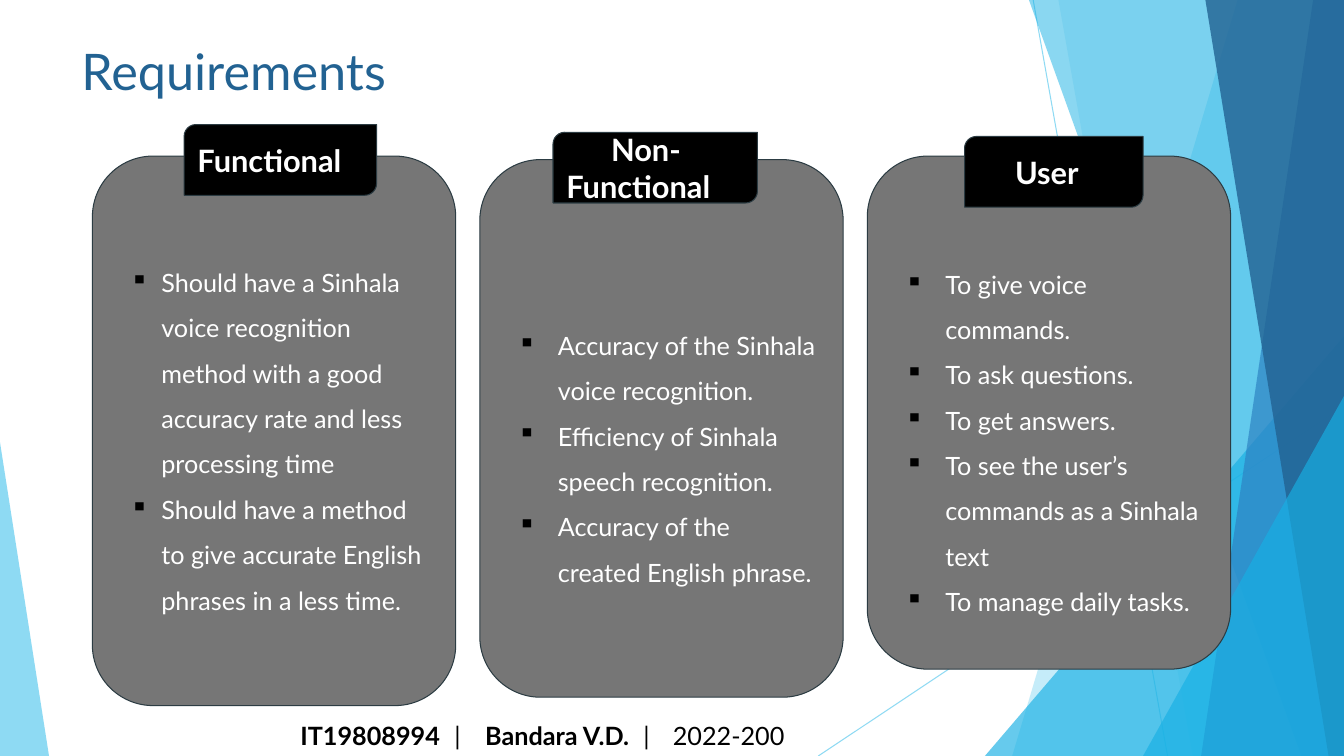
from lxml import etree
from pptx import Presentation
from pptx import util as u
from pptx.dml.color import RGBColor
from pptx.enum import shapes, text
from pptx.oxml.ns import qn

W, H = 960, 540
SKY, CYAN, BLUE, NAVY = "5FCBEF", "17B0E4", "2E83C3", "226292"
GRAY, EDGE, BLACK, WHITE = "767676", "2C3C43", "000000", "FFFFFF"
PRESET = shapes.MSO_SHAPE
ANCHOR = text.MSO_ANCHOR


def rgb(value):
    return RGBColor.from_string(value)


class Deck:
    font = "Lato"
    inset = 7.2

    def __init__(self, prs):
        self.s = prs.slides.add_slide(prs.slide_layouts[6])

    def paint(self, fill, color, alpha=100):
        """Solid fill with the given opacity in percent."""
        fill.solid()
        fill.fore_color.rgb = rgb(color)
        if alpha < 100:
            for clr in fill._xPr.iter(qn("a:srgbClr")):
                etree.SubElement(clr, qn("a:alpha")).set("val", str(alpha * 1000))

    def finish(self, sp, color, alpha=100, edge=None):
        sp.shadow.inherit = False
        self.paint(sp.fill, color, alpha)
        if edge:
            sp.line.color.rgb = rgb(edge)
            sp.line.width = u.Pt(0.75)
        else:
            sp.line.fill.background()
        return sp

    def line(self, x1, y1, x2, y2, color, alpha):
        cx = self.s.shapes.add_connector(
            shapes.MSO_CONNECTOR.STRAIGHT, u.Pt(x1), u.Pt(y1), u.Pt(x2), u.Pt(y2))
        cx.line.width = u.Pt(0.75)
        self.paint(cx.line.fill, color, alpha)
        etree.SubElement(cx._element.spPr, qn("a:effectLst"))

    def polygon(self, points, color, alpha):
        start, *rest = [(u.Pt(x), u.Pt(y)) for x, y in points]
        fb = self.s.shapes.build_freeform(*start, scale=1.0)
        fb.add_line_segments(rest, close=True)
        self.finish(fb.convert_to_shape(), color, alpha)

    def shape(self, kind, box, adjust, color, alpha=100, edge=None):
        sp = self.s.shapes.add_shape(kind, *[u.Pt(v) for v in box])
        for i, value in enumerate(adjust):
            sp.adjustments[i] = value
        return self.finish(sp, color, alpha, edge)

    def frame(self, sp, anchor, top=0, sides=3.6):
        """Set wrapping, anchor and margins; top is extra space above the text."""
        tf = sp.text_frame
        tf.word_wrap = True
        tf.vertical_anchor = anchor
        tf.margin_left = tf.margin_right = u.Pt(self.inset)
        tf.margin_top, tf.margin_bottom = u.Pt(sides + top), u.Pt(sides)
        return tf

    def run(self, p, words, size, color, bold=False):
        r = p.add_run()
        r.text = words
        r.font.name = self.font
        r.font.size = u.Pt(size)
        r.font.bold = bold
        r.font.color.rgb = rgb(color)

    def indent(self, p, left, first):
        p.alignment = text.PP_ALIGN.LEFT
        pPr = p._p.get_or_add_pPr()
        pPr.set("marL", str(u.Pt(left)))
        pPr.set("indent", str(u.Pt(first)))
        return pPr

    def textbox(self, box, anchor, runs, size, color, tabs=()):
        sp = self.s.shapes.add_textbox(*[u.Pt(v) for v in box])
        p = self.frame(sp, anchor).paragraphs[0]
        if tabs:
            tab_list = etree.SubElement(p._p.get_or_add_pPr(), qn("a:tabLst"))
            for pos in tabs:
                etree.SubElement(tab_list, qn("a:tab"), pos=str(u.Pt(pos)), algn="l")
        for words, bold in runs:
            self.run(p, words, size, color, bold)

    def card(self, box, items, left, hang, top):
        sp = self.shape(PRESET.ROUNDED_RECTANGLE, box, [0.167], GRAY, edge=EDGE)
        tf = self.frame(sp, ANCHOR.MIDDLE, top, self.inset)
        for i, item in enumerate(items):
            p = tf.add_paragraph() if i else tf.paragraphs[0]
            p.line_spacing = 1.5
            pPr = self.indent(p, left, -hang)
            clr = etree.SubElement(pPr, qn("a:buClr"))
            etree.SubElement(clr, qn("a:srgbClr"), val=BLACK)
            etree.SubElement(pPr, qn("a:buChar"), char="▪")
            self.run(p, item, 18, WHITE)

    def label(self, box, words, first):
        sp = self.shape(PRESET.ROUND_2_DIAG_RECTANGLE, box, [0.167, 0], BLACK, edge=EDGE)
        p = self.frame(sp, ANCHOR.MIDDLE, sides=self.inset).paragraphs[0]
        self.indent(p, 0, first)
        self.run(p, words, 22, WHITE, True)


def facets(deck):
    """Translucent shards along both slide edges."""
    deck.line(738, 0, 834, H, SKY, 70)
    deck.line(W, 290, 584.5, H, SKY, 70)

    def shard(top, bottom, color, alpha):
        deck.polygon([(top, 0), (W, 0), (W, H), (bottom, H)], color, alpha)

    def triangle(box, apex, color, alpha):
        deck.shape(PRESET.ISOSCELES_TRIANGLE, box, [apex], color, alpha)

    shard(884, 723, SKY, 36)
    shard(756, 852, SKY, 20)
    triangle((703.5, 240, 256.5, 300), 1, CYAN, 66)
    shard(735, 929.5, CYAN, 50)
    shard(938, 858, BLUE, 70)
    shard(861, 949, NAVY, 80)
    triangle((816.5, 283, 143.5, 257), 1, CYAN, 66)
    triangle((0, 316, 35, 224), 0, SKY, 70)


CARD_W, LABEL_H = 259.5, 50.5
# card left, top, height; label left, top, width, first-line indent;
# bullet text indent, hang, extra space above; words
COLUMNS = [
    ((66, 111.5, 392.5), (131.5, 89, 137.5, 0), (29.5, 22.3, 4), "Functional", [
        "Should have a Sinhala voice recognition method with a good accuracy rate"
        " and less processing time",
        "Should have a method to give accurate English phrases in a less time."]),
    ((342.75, 114, 384), (395, 94.5, 146, 32), (36, 28.8, 32.4), "Non- Functional", [
        "Accuracy of the Sinhala voice recognition.",
        "Efficiency of Sinhala speech recognition.",
        "Accuracy of the created English phrase."]),
    ((619.5, 111.5, 366.5), (689, 97.5, 127.5, 26.5), (36, 28.8, 32.4), "User", [
        "To give voice commands.", "To ask questions.", "To get answers.",
        "To see the user’s commands as a Sinhala text", "To manage daily tasks."]),
]


def main():
    prs = Presentation()
    prs.slide_width, prs.slide_height = u.Pt(W), u.Pt(H)
    deck = Deck(prs)
    facets(deck)
    deck.textbox((51, 25, 796, 59), ANCHOR.TOP, [("Requirements", False)], 36, NAVY)
    deck.textbox((207.5, 511, 536.5, 29), ANCHOR.MIDDLE, [
        ("IT19808994", True), ("\t|\t", False),
        ("Bandara V.D.", True), ("\t|\t2022-200", False)],
        18, BLACK, tabs=(110, 132, 245, 266))
    for (x, y, h), (lx, ly, lw, first), bullets, heading, items in COLUMNS:
        deck.card((x, y, CARD_W, h), items, *bullets)
        deck.label((lx, ly, lw, LABEL_H), heading, first)
    prs.save("out.pptx")


if __name__ == "__main__":
    main()
